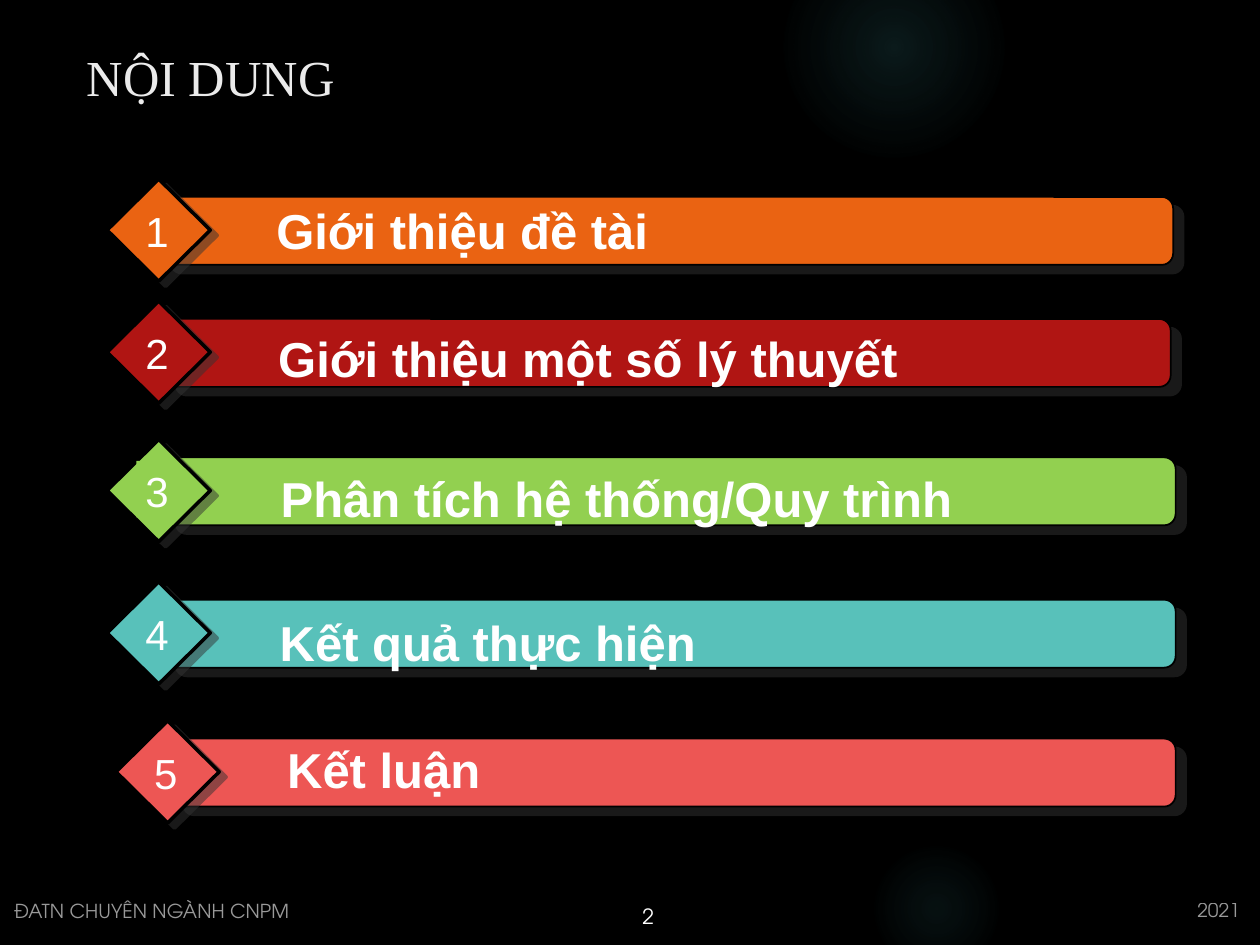
"""Build the contents slide: five numbered bars on a black background."""
from dataclasses import dataclass
from typing import Any

import lxml.etree
import pptx
import pptx.dml.color
import pptx.enum.shapes
import pptx.enum.text
import pptx.oxml
import pptx.oxml.ns
import pptx.util

Cm = pptx.util.Cm
Pt = pptx.util.Pt
Shape = pptx.enum.shapes.MSO_SHAPE
Align = pptx.enum.text.PP_ALIGN
Anchor = pptx.enum.text.MSO_ANCHOR
qn = pptx.oxml.ns.qn

WHITE = "FFFFFF"
BLACK = "000000"
GLOW = "50B9C1"
FOOTER_FONT = "TeX Gyre Adventor"
INSETS = (0.18, 0.1)


@dataclass
class Topic:
    number: int
    heading: str
    color: str
    top: float
    bar_left: float
    bar_width: float
    label_left: float
    label_top: float
    label_width: float
    indent: float = 1.42
    diamond_left: float = 2.16
    number_fill: str | None = None


@dataclass
class Glow:
    left: float
    top: float
    size: float
    stops: tuple[tuple[int, int], ...]


@dataclass
class Footer:
    text: str
    box: tuple[float, float, float, float]
    style: dict[str, Any]


TOPICS = [
    Topic(1, "Giới thiệu đề tài", "EA6312", 3.61, 3.23, 20.42, 1.91, 3.94, 23.5, indent=3.48),
    Topic(2, "Giới thiệu một số lý thuyết", "B01513", 6.07, 3.33, 20.27, 4.01, 6.53, 19.89),
    Topic(3, "Phân tích hệ thống/Quy trình", "92D050", 8.86, 3.33, 20.37, 4.06, 9.35, 19.58,
          number_fill="92D050"),
    Topic(4, "Kết quả thực hiện", "58C1BA", 11.73, 3.33, 20.37, 4.04, 12.24, 19.58),
    Topic(5, "Kết luận", "ED5654", 14.53, 3.48, 20.22, 4.19, 14.81, 19.43, diamond_left=2.34),
]
GLOWS = [
    Glow(15.8, -1.27, 4.45, ((0, 14), (36, 7), (73, 0))),
    Glow(17.5, 16.94, 2.74, ((0, 9), (36, 5), (66, 0))),
]
FOOTERS = [
    Footer("2021", (22.1, 17.98, 3.15, 0.74), {"size": 11, "align": Align.RIGHT, "alpha": 60}),
    Footer("ĐATN CHUYÊN NGÀNH CNPM", (0.03, 18.08, 10.72, 0.64),
           {"size": 11, "anchor": Anchor.BOTTOM, "alpha": 60}),
    Footer("2", (12.7, 18.08, 1.42, 0.74), {"size": 12}),
]


def rgb(value: str) -> pptx.dml.color.RGBColor:
    """Turn a hex string into a colour."""
    return pptx.dml.color.RGBColor.from_string(value)


def write(shape: Any, text: str, *, size: float, font: str, color: str = WHITE,
          bold: bool = False, align: Any = Align.LEFT, anchor: Any = Anchor.TOP,
          wrap: bool = True, indent: float = 0, alpha: int | None = None,
          insets: tuple[float, float] = (0.25, 0.13), grow: bool = False) -> None:
    """Put one formatted paragraph into a shape."""
    frame = shape.text_frame
    frame.word_wrap = wrap
    frame.vertical_anchor = anchor
    frame.auto_size = getattr(pptx.enum.text.MSO_AUTO_SIZE, "SHAPE_TO_FIT_TEXT" if grow else "NONE")
    frame.margin_left = frame.margin_right = Cm(insets[0])
    frame.margin_top = frame.margin_bottom = Cm(insets[1])
    paragraph = frame.paragraphs[0]
    paragraph.alignment = align
    if indent:
        properties = paragraph._p.get_or_add_pPr()
        properties.set("marL", str(Cm(indent)))
        properties.set("indent", "0")
    run = paragraph.add_run()
    run.text = text
    run.font.size = Pt(size)
    run.font.name = font
    run.font.bold = bold
    run.font.color.rgb = rgb(color)
    if alpha is not None:
        tint = next(run._r.iter(qn("a:srgbClr")))
        lxml.etree.SubElement(tint, qn("a:alpha")).set("val", str(alpha * 1000))


def add_text(shapes: Any, box: tuple[float, float, float, float], text: str,
             fill: str | None = None, **style: Any) -> None:
    """Add a text box, filled if a colour is given."""
    textbox = shapes.add_textbox(*map(Cm, box))
    if fill:
        textbox.fill.solid()
        textbox.fill.fore_color.rgb = rgb(fill)
    write(textbox, text, **style)


def add_panel(shapes: Any, kind: Any, box: tuple[float, float, float, float], color: str,
              outline: float, distance: float, angle: int) -> Any:
    """Add an outlined shape with a hard offset shadow."""
    panel = shapes.add_shape(kind, *map(Cm, box))
    panel.fill.solid()
    panel.fill.fore_color.rgb = rgb(color)
    panel.line.color.rgb = rgb(BLACK)
    panel.line.width = Pt(outline)
    panel.shadow.inherit = False
    effects = panel._element.spPr.find(qn("a:effectLst"))
    effects.append(pptx.oxml.parse_xml(
        f'<a:outerShdw {pptx.oxml.ns.nsdecls("a")} dist="{Pt(distance)}" dir="{angle * 60000}" '
        'algn="ctr" rotWithShape="0"><a:srgbClr val="333333"><a:alpha val="50000"/>'
        '</a:srgbClr></a:outerShdw>'))
    return panel


def add_glow(shapes: Any, glow: Glow) -> None:
    """Add a circle that fades out from its centre."""
    circle = shapes.add_shape(Shape.OVAL, *map(Cm, (glow.left, glow.top, glow.size, glow.size)))
    circle.shadow.inherit = False
    circle.line.fill.background()
    circle.fill.background()
    stops = "".join(
        f'<a:gs pos="{position * 1000}"><a:srgbClr val="{GLOW}">'
        f'<a:alpha val="{alpha * 1000}"/></a:srgbClr></a:gs>' for position, alpha in glow.stops)
    properties = circle._element.spPr
    properties.replace(properties.find(qn("a:noFill")), pptx.oxml.parse_xml(
        f'<a:gradFill {pptx.oxml.ns.nsdecls("a")}><a:gsLst>{stops}</a:gsLst><a:path path="circle">'
        '<a:fillToRect l="50000" t="50000" r="50000" b="50000"/></a:path></a:gradFill>'))


def add_topic(shapes: Any, topic: Topic) -> None:
    """Add one grouped row: bar, diamond, heading and number."""
    row = shapes.add_group_shape().shapes
    bar = add_panel(row, Shape.ROUNDED_RECTANGLE,
                    (topic.bar_left, topic.top + 0.36, topic.bar_width, 1.37),
                    topic.color, 1, 7.8, 40)
    bar.adjustments[0] = 0.167
    add_panel(row, Shape.DIAMOND, (topic.diamond_left, topic.top, 2.08, 2.06),
              topic.color, 2, 5, 37)
    add_text(row, (topic.label_left, topic.label_top, topic.label_width, 1.4), topic.heading,
             size=28, font="Arial", bold=True, align=Align.JUSTIFY, indent=topic.indent,
             insets=INSETS, grow=True)
    add_text(row, (topic.diamond_left + 0.59, topic.top + 0.43, 0.81, 1.14), str(topic.number),
             fill=topic.number_fill, size=24, font="Arial", align=Align.CENTER, wrap=False,
             insets=INSETS, grow=True)


def main() -> None:
    """Build and save the slide."""
    deck = pptx.Presentation()
    deck.slide_width, deck.slide_height = Cm(25.4), Cm(19.05)
    slide = deck.slides.add_slide(deck.slide_layouts.get_by_name("Title Only"))
    slide.background.fill.solid()
    slide.background.fill.fore_color.rgb = rgb(BLACK)
    for glow in GLOWS:
        add_glow(slide.shapes, glow)
    title = slide.shapes.title
    title.left, title.top, title.width, title.height = map(Cm, (1.5, 0.76, 20.55, 1.57))
    write(title, "NỘI DUNG", size=28.8, font="Times New Roman", color="EBEBEB",
          anchor=Anchor.MIDDLE)
    for topic in TOPICS:
        add_topic(slide.shapes, topic)
    for footer in FOOTERS:
        add_text(slide.shapes, footer.box, footer.text, font=FOOTER_FONT, **footer.style)
    deck.save("out.pptx")


if __name__ == "__main__":
    main()
